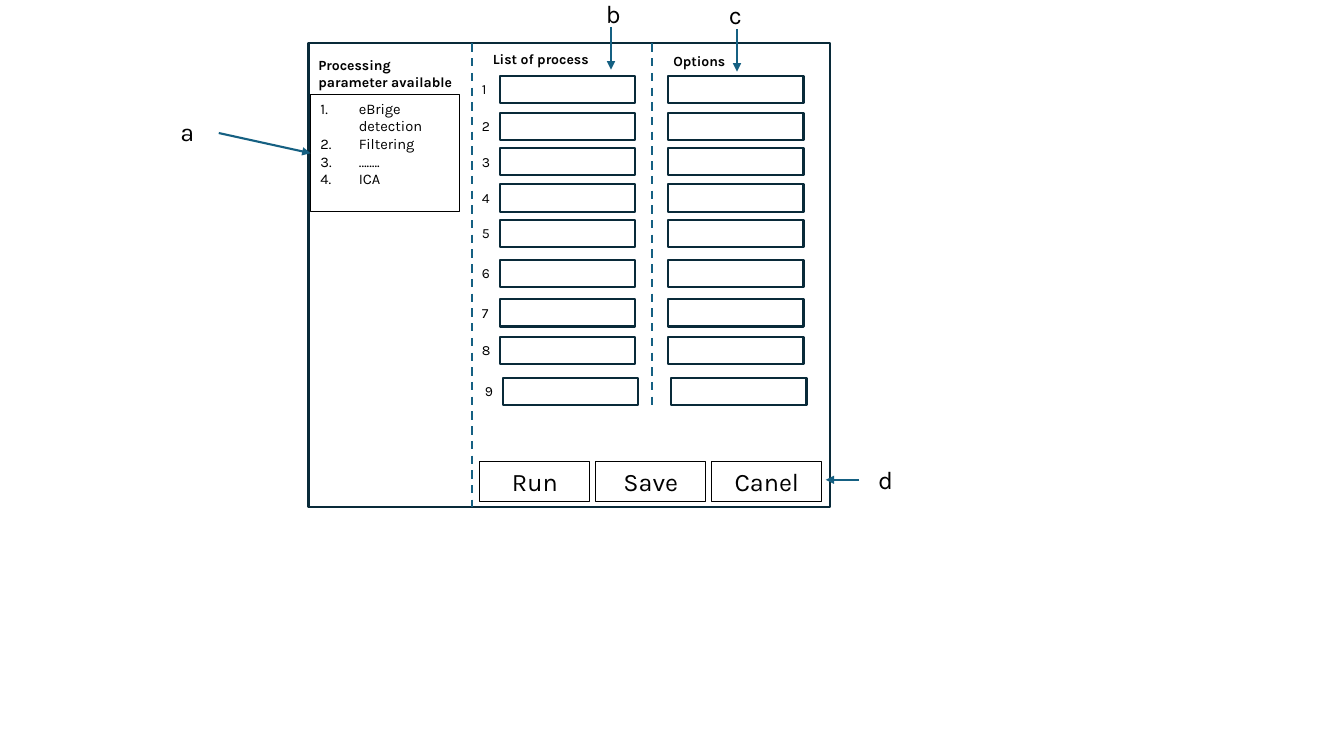
from lxml import etree
from pptx import Presentation
from pptx.dml.color import RGBColor
from pptx.enum.dml import MSO_LINE
from pptx.enum.shapes import MSO_CONNECTOR, MSO_SHAPE
from pptx.enum.text import MSO_ANCHOR, MSO_AUTO_SIZE, PP_ALIGN
from pptx.oxml.ns import qn
from pptx.util import Inches, Pt

RECTANGLE = MSO_SHAPE.RECTANGLE
STRAIGHT = MSO_CONNECTOR.STRAIGHT
DASH = MSO_LINE.DASH
TOP = MSO_ANCHOR.TOP
GROW = MSO_AUTO_SIZE.SHAPE_TO_FIT_TEXT
LEFT, CENTER = PP_ALIGN.LEFT, PP_ALIGN.CENTER

BLACK = RGBColor(0x00, 0x00, 0x00)
NAVY = RGBColor(0x09, 0x2A, 0x39)
TEAL = RGBColor(0x15, 0x60, 0x82)
FONT = "Karla"

presentation = Presentation()
presentation.slide_width = Inches(13.33)
presentation.slide_height = Inches(7.5)
slide = presentation.slides.add_slide(presentation.slide_layouts[6])


def add_box(position, lines=(), size=10, bold=False, align=LEFT, wrap=True,
            outline=None, weight=1.5):
    """Add an unfilled rectangle, with an outline if given, and its text."""
    lengths = [Inches(length) for length in position]
    if outline is None:
        shape = slide.shapes.add_textbox(*lengths)
    else:
        shape = slide.shapes.add_shape(RECTANGLE, *lengths)
        shape.shadow.inherit = False
        shape.fill.background()
        shape.line.color.rgb = outline
        shape.line.width = Pt(weight)
    if not lines:
        return shape
    frame = shape.text_frame
    frame.text = "\n".join(lines)
    frame.word_wrap = wrap
    frame.vertical_anchor = TOP
    frame.auto_size = GROW
    font_format = {"name": FONT, "size": Pt(size), "bold": bold}
    for paragraph in frame.paragraphs:
        paragraph.alignment = align
        font = paragraph.runs[0].font
        font.color.rgb = BLACK
        for attribute, value in font_format.items():
            setattr(font, attribute, value)
    return shape


def add_line(points, dashed=False):
    """Add a dashed divider, or a solid arrow pointing at its end."""
    connector = slide.shapes.add_connector(
        STRAIGHT, *[Inches(length) for length in points])
    connector.line.color.rgb = TEAL
    connector.line.width = Pt(1.5)
    if dashed:
        connector.line.dash_style = DASH
    else:
        etree.SubElement(connector.line._get_or_add_ln(), qn("a:tailEnd"),
                         type="triangle")
    etree.SubElement(connector._element.spPr, qn("a:effectLst"))


# Window frame and column dividers
add_box((3.06, 0.43, 5.17, 4.6), outline=NAVY)
add_line((4.68, 0.43, 4.68, 5.03), dashed=True)
add_line((6.47, 0.43, 6.47, 4.02), dashed=True)

# Column headings
headings = [
    ("Processing parameter available", 3.06, 0.51, 0.44),
    ("List of process", 4.79, 0.45, 0.27),
    ("Options", 6.58, 0.47, 0.27),
]
for heading, left, top, height in headings:
    add_box((left, top, 1.56, height), [heading], bold=True)

# Numbered list of available parameters
parameters = ["eBrige detection", "Filtering", "……..", "ICA"]
parameter_box = add_box((3.08, 0.94, 1.48, 1.16), parameters, size=10.5,
                        outline=BLACK, weight=0.75)
for paragraph in parameter_box.text_frame.paragraphs:
    properties = paragraph._p.get_or_add_pPr()
    properties.set("marL", str(Inches(0.38)))
    properties.set("indent", str(-Inches(0.38)))
    etree.SubElement(properties, qn("a:buFont"), typeface="+mj-lt")
    etree.SubElement(properties, qn("a:buAutoNum"), type="arabicPeriod")

# Rows: number, process field, option field
row_tops = [0.75, 1.12, 1.47, 1.83, 2.18, 2.58, 2.97, 3.34, 3.75]
for number, top in enumerate(row_tops, start=1):
    shift = 0.03 if number == len(row_tops) else 0
    add_box((4.68 + shift, top, 0.28, 0.27), [str(number)], wrap=False)
    for left in (4.96, 6.63):
        add_box((left + shift, top, 1.34, 0.27), outline=NAVY)

# Buttons
for index, label in enumerate(["Run", "Save", "Canel"]):
    add_box((4.76 + 1.15 * index, 4.58, 1.09, 0.4), [label], size=18,
            align=CENTER, outline=BLACK, weight=0.75)

# Callout letters with their arrows
callouts = [
    ("a", 1.69, 1.11, (2.17, 1.32, 3.08, 1.52)),
    ("b", 5.91, -0.07, (6.06, 0.27, 6.06, 0.69)),
    ("c", 7.13, -0.06, (7.31, 0.29, 7.31, 0.71)),
    ("d", 8.61, 4.56, (8.52, 4.76, 8.19, 4.76)),
]
for letter, left, top, arrow in callouts:
    add_box((left, top, 0.48, 0.4), [letter], size=18)
    add_line(arrow)

presentation.save("out.pptx")
